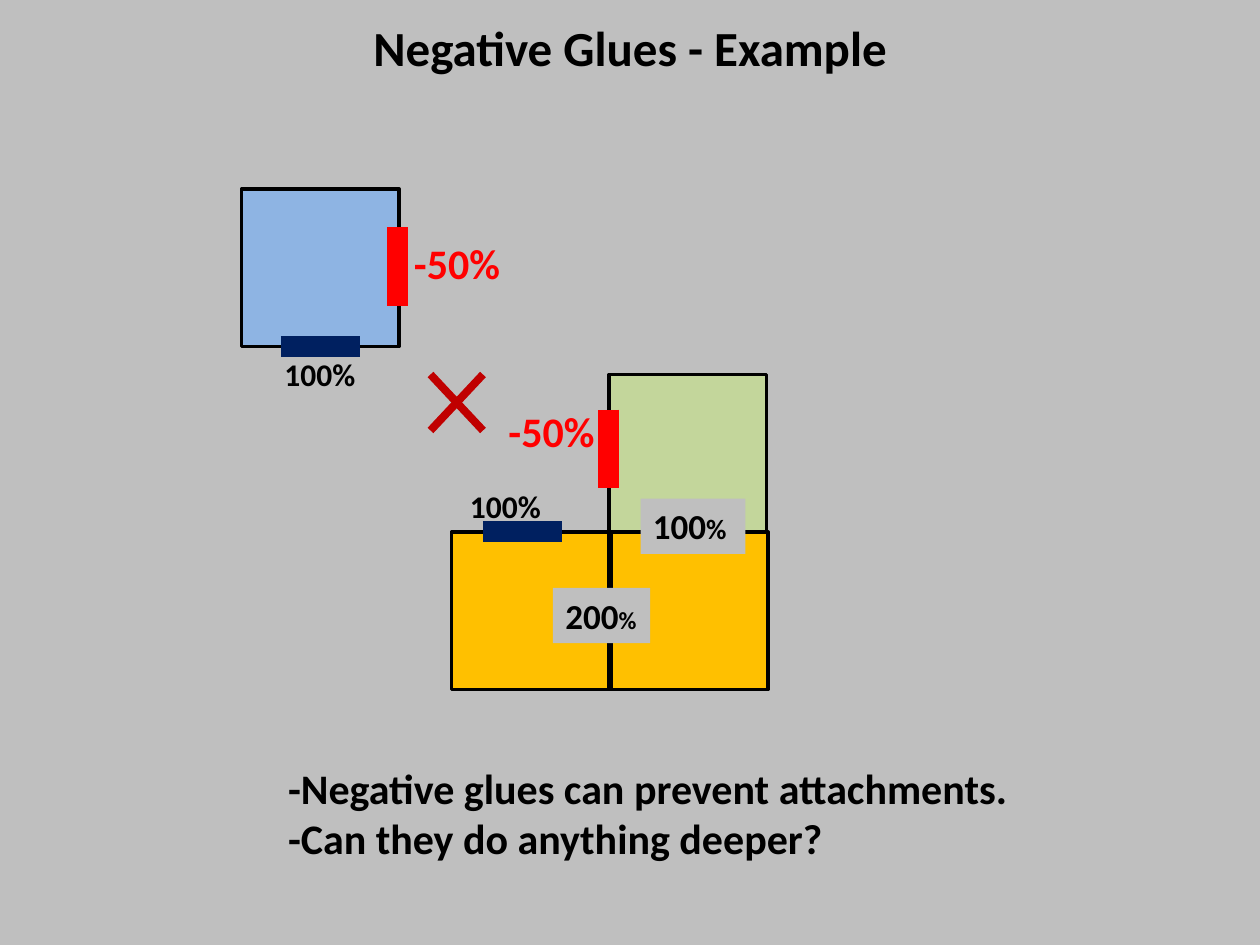
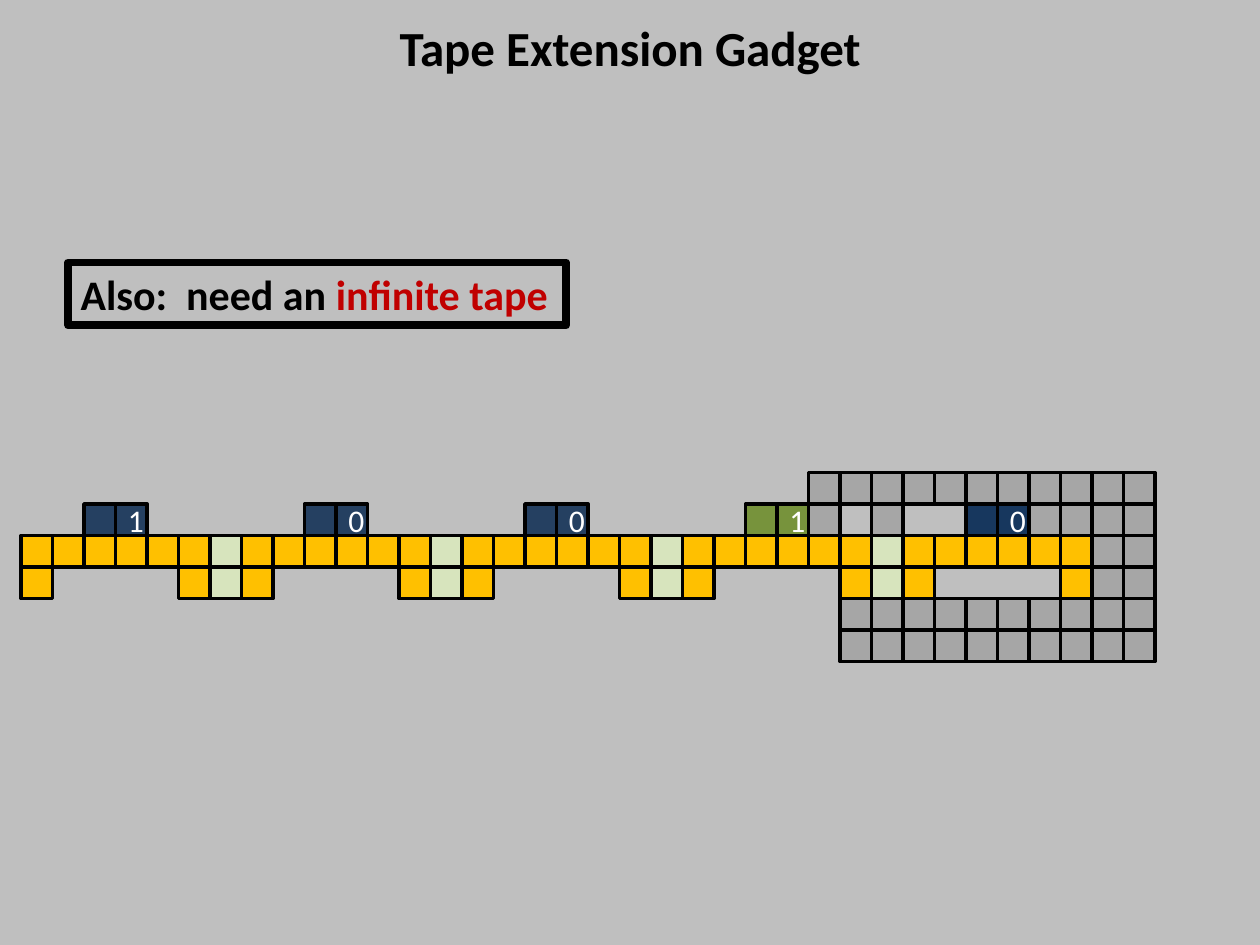
import dataclasses

import pptx
import pptx.dml.color
import pptx.enum.shapes
import pptx.enum.text
import pptx.oxml
import pptx.util
from lxml import etree

Pt = pptx.util.Pt
Rgb = pptx.dml.color.RGBColor.from_string
Align = pptx.enum.text.PP_ALIGN
Anchor = pptx.enum.text.MSO_ANCHOR
Fit = pptx.enum.text.MSO_AUTO_SIZE


@dataclasses.dataclass(frozen=True)
class Theme:
    font: str = "Calibri"
    back: str = "BFBFBF"
    ink: str = "000000"
    white: str = "FFFFFF"
    gold: str = "FFC000"
    lime: str = "C3D69B"
    sky: str = "8EB4E3"
    pale: str = "D7E4BD"
    slate: str = "254061"
    navy: str = "17375E"
    olive: str = "77933C"
    gray: str = "A6A6A6"
    bond: str = "002060"
    repel: str = "FF0000"
    cross: str = "C00000"
    title: int = 28
    body: int = 24
    label: int = 20
    small: int = 18
    edge: float = 2
    heavy: float = 4.5
    glue: float = 12


theme = Theme()


def tile(slide, x, y, side, fill):
    shape = slide.shapes.add_shape(
        pptx.enum.shapes.MSO_SHAPE.RECTANGLE, Pt(x), Pt(y), Pt(side), Pt(side))
    shape.shadow.inherit = False
    shape.fill.solid()
    shape.fill.fore_color.rgb = Rgb(fill)
    shape.line.color.rgb = Rgb(theme.ink)
    shape.line.width = Pt(theme.edge)
    return shape


def write(frame, text, size, ink=theme.ink, bold=True, align=Align.LEFT):
    """Fill a text frame, one paragraph for each line of text."""
    for i, line in enumerate(text.split("\n")):
        para = frame.add_paragraph() if i else frame.paragraphs[0]
        para.add_run().text = line
        para.alignment = align
        para.font.name = theme.font
        para.font.size = Pt(size)
        para.font.bold = bold
        para.font.color.rgb = Rgb(ink)


deck = pptx.Presentation()
deck.slide_width, deck.slide_height = Pt(720), Pt(540)
back = deck.slide_master.background.fill
back.solid()
back.fore_color.rgb = Rgb(theme.back)

slides = []
for name in ("Negative Glues - Example", "Tape Extension Gadget"):
    slide = deck.slides.add_slide(deck.slide_layouts[5])
    title = slide.shapes.title
    title.left, title.top, title.width, title.height = Pt(0), Pt(0), Pt(720), Pt(54)
    title.text_frame.auto_size = Fit.NONE
    title.text_frame.vertical_anchor = Anchor.MIDDLE
    write(title.text_frame, name, theme.title, align=Align.CENTER)
    slides.append(slide)
glues, tape = slides

# Slide 1: four tiles, their glues and strengths
for x, y, fill in (
    (349, 304, theme.gold),
    (258, 304, theme.gold),
    (348, 214, theme.lime),
    (138, 108, theme.sky),
):
    tile(glues, x, y, 90, fill)

strip = 45
lines = [
    (x, y, x + strip, y, theme.bond, theme.glue) for x, y in ((276, 304), (160.5, 198))
] + [
    (x, y, x, y + strip, theme.repel, theme.glue) for x, y in ((348, 234), (227, 130))
] + [
    (246, 246, 276, 214, theme.cross, theme.heavy),
    (276, 246, 246, 214, theme.cross, theme.heavy),
]
for x1, y1, x2, y2, ink, width in lines:
    line = glues.shapes.add_connector(
        pptx.enum.shapes.MSO_CONNECTOR.STRAIGHT, Pt(x1), Pt(y1), Pt(x2), Pt(y2))
    line.line.color.rgb = Rgb(ink)
    line.line.width = Pt(width)
    etree.SubElement(line._element.spPr, pptx.oxml.ns.qn("a:effectLst"))

for x, y, w, h, text, size, ink in (
    (283.5, 228, 64, 36, "-50%", theme.body, theme.repel),
    (229.5, 132, 64, 36, "-50%", theme.body, theme.repel),
    (261.5, 274.5, 55.5, 29, "100%", theme.small, theme.ink),
    (155.5, 199.5, 55.5, 29, "100%", theme.small, theme.ink),
    (157.5, 432, 430.5, 65.5,
     "-Negative glues can prevent attachments.\n-Can they do anything deeper?",
     theme.body, theme.ink),
):
    box = glues.shapes.add_textbox(Pt(x), Pt(y), Pt(w), Pt(h))
    box.text_frame.word_wrap = False
    box.text_frame.auto_size = Fit.SHAPE_TO_FIT_TEXT
    write(box.text_frame, text, size, ink)

for x, y, w, text, size in ((316, 336, 55.5, "200", 14), (366, 285, 60, "100", 16)):
    box = glues.shapes.add_textbox(Pt(x), Pt(y), Pt(w), Pt(31.5))
    box.fill.solid()
    box.fill.fore_color.rgb = Rgb(theme.back)
    box.text_frame.word_wrap = True
    box.text_frame.auto_size = Fit.SHAPE_TO_FIT_TEXT
    write(box.text_frame, text, theme.label)
    sign = box.text_frame.paragraphs[0].add_run()
    sign.text = "%"
    sign.font.size = Pt(size)

# Slide 2: the tape as rows of cells, one letter for each cell
fills = {
    "y": theme.gold, "p": theme.pale, "s": theme.slate,
    "n": theme.navy, "o": theme.olive, "g": theme.gray,
}
rows = (
    "." * 25 + "g" * 11,
    "..ss..." * 3 + "..oog.g..nngggg",
    "yyyyyyp" * 4 + "yyyyyygg",
    "y....yp" * 4 + "y....ygg",
    "." * 26 + "g" * 10,
    "." * 26 + "g" * 10,
)
bits = dict(zip(range(3, 36, 7), "10010"))
cell = 18
for r, row in enumerate(rows):
    for c, key in enumerate(row):
        if key == ".":
            continue
        shape = tile(tape, 12 + c * cell, 270 + r * cell, cell, fills[key])
        if r == 1 and c in bits:
            shape.text_frame.vertical_anchor = Anchor.MIDDLE
            write(shape.text_frame, bits[c], theme.small, theme.white, False, Align.CENTER)

need = tape.shapes.add_textbox(Pt(39), Pt(150), Pt(284.5), Pt(36))
need.line.color.rgb = Rgb(theme.ink)
need.line.width = Pt(theme.heavy)
need.text_frame.word_wrap = False
need.text_frame.auto_size = Fit.SHAPE_TO_FIT_TEXT
write(need.text_frame, "Also:  need an ", theme.body)
goal = need.text_frame.paragraphs[0].add_run()
goal.text = "infinite tape"
goal.font.color.rgb = Rgb(theme.cross)

deck.save("out.pptx")
